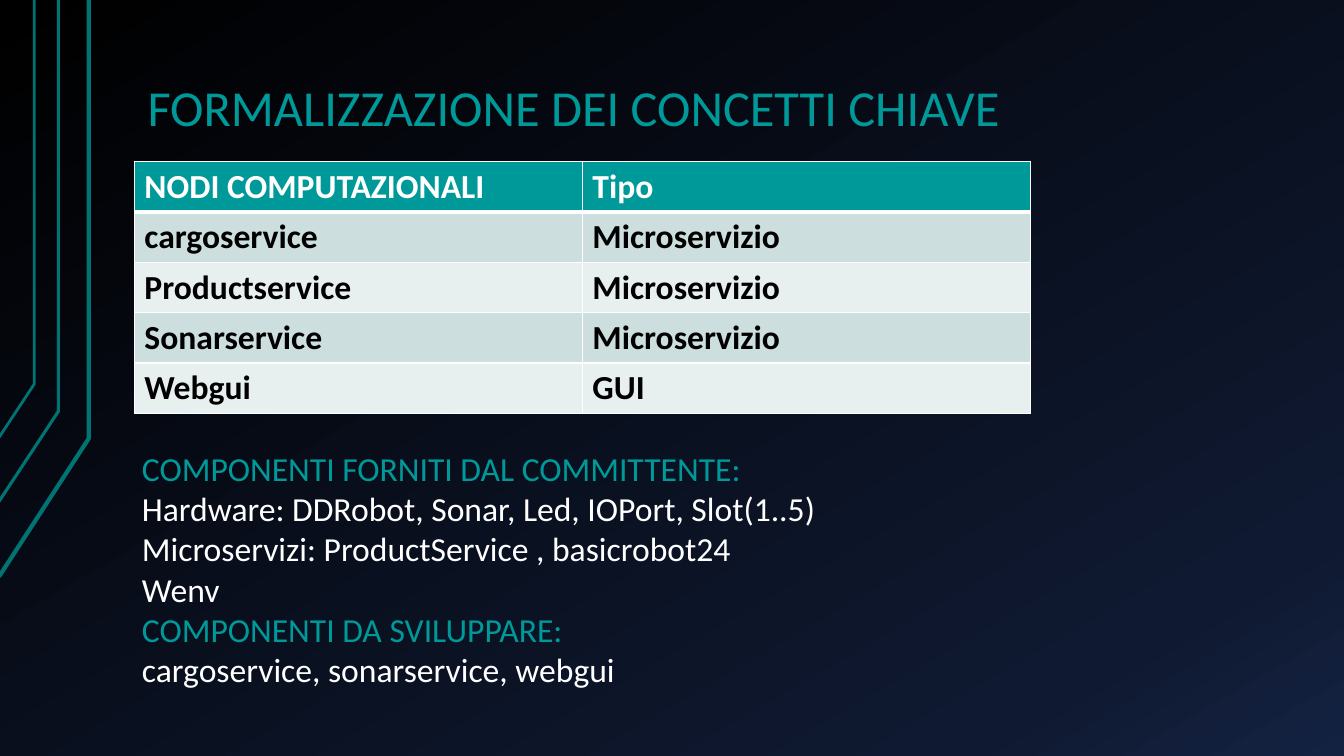
from pptx import Presentation
from pptx import util as u
from pptx.dml.color import RGBColor
from pptx.enum import text
from pptx.oxml import parse_xml
from pptx.oxml.ns import nsdecls

WIDTH, HEIGHT = 13.33, 7.5
FONT = "Calibri"
COLORS = {
    "teal": "009999", "trace": "007373", "white": "FFFFFF", "black": "000000",
    "band": "CCDEDE", "light": "E7EFEF", "navy": "0F1931", "blue": "142242",
}
NODES = [
    ("NODI COMPUTAZIONALI", "Tipo"),
    ("cargoservice", "Microservizio"),
    ("Productservice", "Microservizio"),
    ("Sonarservice", "Microservizio"),
    ("Webgui", "GUI"),
]
COMPONENTS = [
    ("COMPONENTI FORNITI DAL COMMITTENTE:", "teal"),
    ("Hardware: DDRobot, Sonar, Led, IOPort, Slot(1..5)", "white"),
    ("Microservizi: ProductService , basicrobot24", "white"),
    ("Wenv", "white"),
    ("COMPONENTI DA SVILUPPARE:", "teal"),
    ("cargoservice, sonarservice, webgui", "white"),
]
# Corner x, corner y, left end x, left end y, line width
TRACES = [
    (0.88, 4.35, -0.01, 5.72, 3),
    (0.58, 4.08, -0.02, 4.99, 2.25),
    (0.34, 3.81, -0.01, 4.34, 2),
]


def rgb(name):
    return RGBColor.from_string(COLORS[name])


def write(para, words, size=24, color="white", bold=False, spacing=None):
    span = para.add_run()
    span.text = words
    span.font.name = FONT
    span.font.size = u.Pt(size)
    span.font.bold = bold
    span.font.color.rgb = rgb(color)
    if spacing:
        para.line_spacing = spacing


def add_text_box(page, box):
    frame = page.shapes.add_textbox(*map(u.Inches, box)).text_frame
    frame.word_wrap = True
    return frame


def paint_background(page):
    stops = "".join(
        f'<a:gs pos="{share * 1000}"><a:srgbClr val="{COLORS[name]}"/></a:gs>'
        for share, name in [(0, "black"), (85, "navy"), (100, "blue")])
    page._element.cSld.insert(0, parse_xml(
        f'<p:bg {nsdecls("p", "a")}><p:bgPr><a:gradFill rotWithShape="1">'
        f'<a:gsLst>{stops}</a:gsLst><a:lin ang="{60 * 60000}" scaled="0"/>'
        '</a:gradFill><a:effectLst/></p:bgPr></p:bg>'))


def draw_traces(page):
    for corner_x, corner_y, end_x, end_y, width in TRACES:
        builder = page.shapes.build_freeform(
            u.Inches(end_x), u.Inches(end_y))
        builder.add_line_segments(
            [(u.Inches(corner_x), u.Inches(y)) for y in (corner_y, 0)],
            close=False)
        trace = builder.convert_to_shape()
        trace.shadow.inherit = False
        trace.fill.background()
        trace.line.color.rgb = rgb("trace")
        trace.line.width = u.Pt(width)


def add_title(page, box):
    frame = add_text_box(page, box)
    frame.vertical_anchor = text.MSO_ANCHOR.BOTTOM
    frame.margin_left = frame.margin_right = u.Inches(0.13)
    frame.margin_top = frame.margin_bottom = u.Inches(0.07)
    write(frame.paragraphs[0], "FORMALIZZAZIONE DEI CONCETTI CHIAVE",
          size=36, color="teal", spacing=0.9)


def set_borders(cell, widths):
    properties = cell._tc.get_or_add_tcPr()
    for index, (side, points) in enumerate(widths.items()):
        properties.insert(index, parse_xml(
            f'<a:ln{side} {nsdecls("a")} w="{u.Pt(points)}"><a:solidFill>'
            f'<a:srgbClr val="{COLORS["white"]}"/></a:solidFill></a:ln{side}>'))


def add_nodes_table(page, box):
    table = page.shapes.add_table(
        len(NODES), len(NODES[0]), *map(u.Inches, box)).table
    for row, labels in enumerate(NODES):
        header = row == 0
        fill = "teal" if header else ("light", "band")[row % 2]
        for column, label in enumerate(labels):
            cell = table.cell(row, column)
            cell.fill.solid()
            cell.fill.fore_color.rgb = rgb(fill)
            set_borders(cell, {"L": 1, "R": 1, "T": 3 if row == 1 else 1,
                               "B": 3 if header else 1})
            write(cell.text_frame.paragraphs[0], label, bold=True,
                  color="white" if header else "black")


def add_components(page, box):
    frame = add_text_box(page, box)
    frame.auto_size = text.MSO_AUTO_SIZE.SHAPE_TO_FIT_TEXT
    for index, (words, color) in enumerate(COMPONENTS):
        para = frame.add_paragraph() if index else frame.paragraphs[0]
        write(para, words, color=color)


def main():
    deck = Presentation()
    deck.slide_width, deck.slide_height = u.Inches(WIDTH), u.Inches(HEIGHT)
    page = deck.slides.add_slide(deck.slide_layouts[6])
    left = WIDTH / 10
    paint_background(page)
    draw_traces(page)
    add_title(page, (left, 0.09, WIDTH * 0.85, 1.34))
    add_nodes_table(page, (left, 1.6, WIDTH * 2 / 3, HEIGHT / 3))
    add_components(page, (1.31, 4.39, 10.14, 2.52))
    deck.save("out.pptx")


if __name__ == "__main__":
    main()
